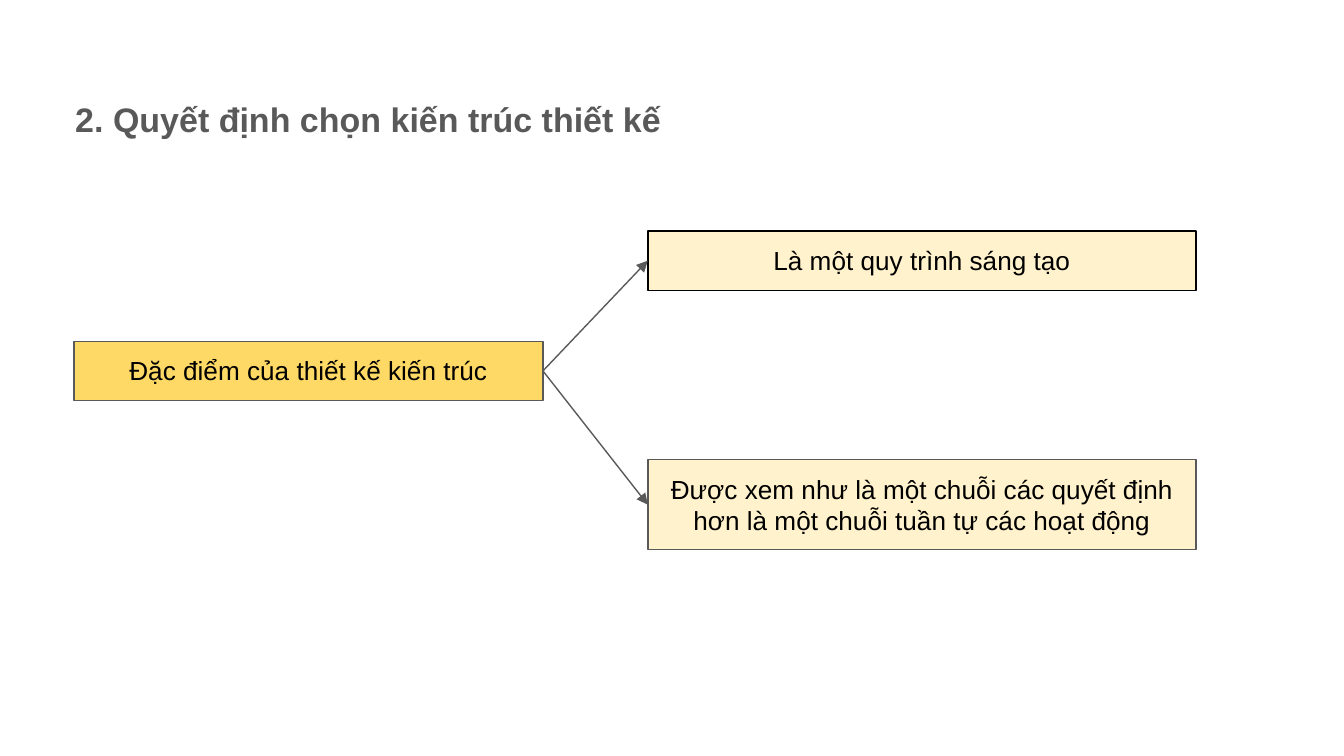
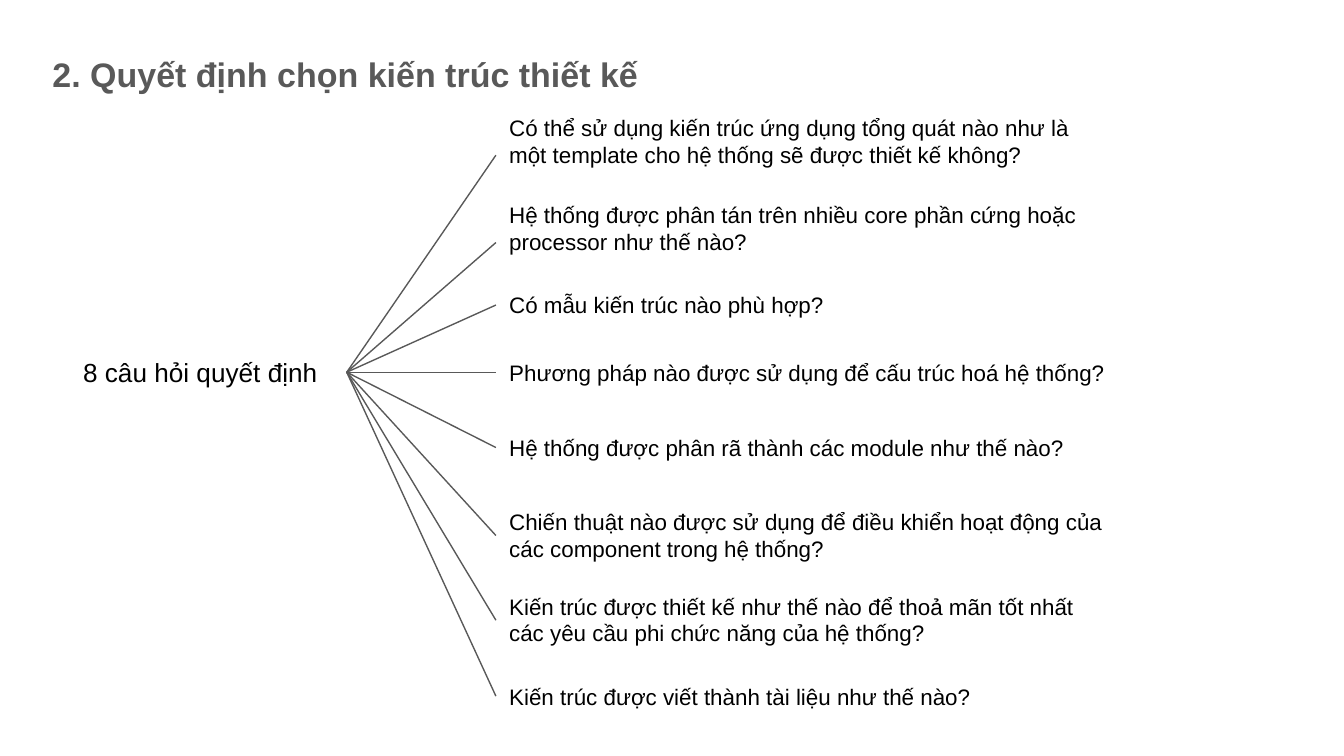
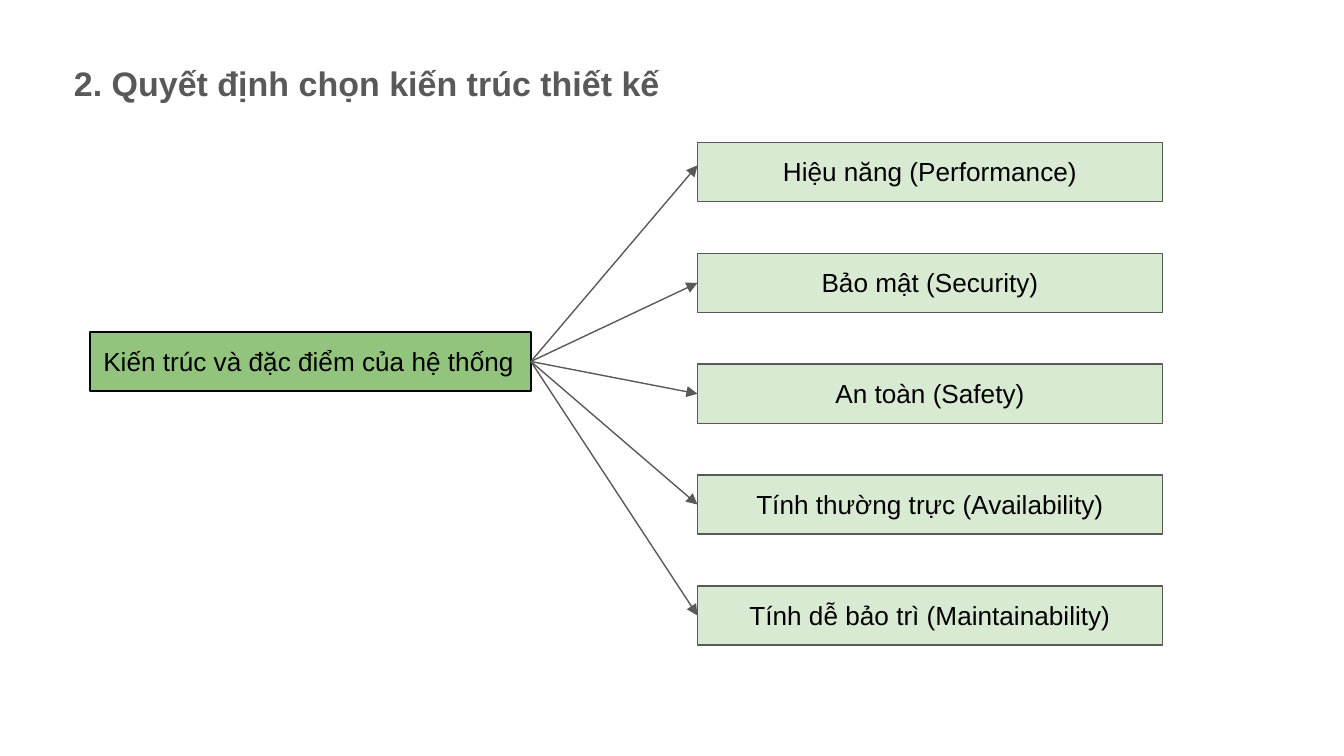
import pptx
import pptx.dml.color
import pptx.enum.shapes
import pptx.enum.text
import pptx.oxml.ns
import pptx.util
import lxml.etree

Inches = pptx.util.Inches
Pt = pptx.util.Pt
rgb = pptx.dml.color.RGBColor.from_string
qn = pptx.oxml.ns.qn
PP_ALIGN = pptx.enum.text.PP_ALIGN
MSO_ANCHOR = pptx.enum.text.MSO_ANCHOR
MSO_AUTO_SIZE = pptx.enum.text.MSO_AUTO_SIZE

FONT = "Arial"
BLACK, GRAY = "000000", "595959"
YELLOW, CREAM = "FFD966", "FFF2CC"
GREEN, MINT = "93C47D", "D9EAD3"
TITLE = "2. Quyết định chọn kiến trúc thiết kế"
ROW_H = 0.44


def add_box(s, text, x, y, w, h, size=14, fill=None, line=GRAY, align=PP_ALIGN.CENTER):
    if fill:
        sp = s.shapes.add_shape(pptx.enum.shapes.MSO_SHAPE.RECTANGLE,
                                Inches(x), Inches(y), Inches(w), Inches(h))
        sp.shadow.inherit = False
        sp.fill.solid()
        sp.fill.fore_color.rgb = rgb(fill)
        sp.line.color.rgb = rgb(line)
        sp.line.width = Pt(0.75)
    else:
        sp = s.shapes.add_textbox(Inches(x), Inches(y), Inches(w), Inches(h))
    tf = sp.text_frame
    tf.text = text
    tf.word_wrap = True
    tf.auto_size = MSO_AUTO_SIZE.SHAPE_TO_FIT_TEXT
    tf.vertical_anchor = MSO_ANCHOR.TOP
    tf.margin_left = tf.margin_right = tf.margin_top = tf.margin_bottom = Inches(0.1)
    for p in tf.paragraphs:
        p.alignment = align
        p.font.name = FONT
        p.font.size = Pt(size)
        p.font.color.rgb = rgb(BLACK)
    return sp


def add_link(s, start, end, arrow=True, end_y=None):
    c = s.shapes.add_connector(pptx.enum.shapes.MSO_CONNECTOR.STRAIGHT,
                               0, 0, end.left, Inches(end_y or 0))
    c.begin_connect(start, 3)
    if end_y is None:
        c.end_connect(end, 1)
    c.line.color.rgb = rgb(GRAY)
    c.line.width = Pt(0.75)
    if arrow:
        ln = c._element.spPr.find(qn("a:ln"))
        lxml.etree.SubElement(ln, qn("a:tailEnd"), type="triangle")
    lxml.etree.SubElement(c._element.spPr, qn("a:effectLst"))


prs = pptx.Presentation()
prs.slide_width = Inches(10)
prs.slide_height = prs.slide_width * 9 // 16

slides = []
for x, y in [(0.46, 0.59), (0.29, 0.25), (0.45, 0.32)]:
    s = prs.slides.add_slide(prs.slide_layouts[5])
    sp = s.shapes.title
    sp.left, sp.top, sp.width, sp.height = Inches(x), Inches(y), Inches(9.32), Inches(0.63)
    tf = sp.text_frame
    tf.text = TITLE
    tf.word_wrap = True
    tf.auto_size = MSO_AUTO_SIZE.NONE
    tf.vertical_anchor = MSO_ANCHOR.TOP
    tf.margin_left = tf.margin_right = tf.margin_top = tf.margin_bottom = Inches(0.1)
    p = tf.paragraphs[0]
    p.alignment = PP_ALIGN.LEFT
    p.line_spacing = 1.15
    p.font.name = FONT
    p.font.size = Pt(18.2)
    p.font.bold = True
    p.font.color.rgb = rgb(GRAY)
    slides.append(s)

s = slides[0]
creative = add_box(s, "Là một quy trình sáng tạo", 4.82, 1.72, 4.08, ROW_H, fill=CREAM, line=BLACK)
decisions = add_box(s, "Được xem như là một chuỗi các quyết định hơn là một chuỗi tuần tự các hoạt động",
                    4.82, 3.42, 4.08, 0.67, fill=CREAM)
root = add_box(s, "Đặc điểm của thiết kế kiến trúc", 0.55, 2.54, 3.49, ROW_H, fill=YELLOW)
for trait in (creative, decisions):
    add_link(s, root, trait)

s = slides[1]
root = add_box(s, "8 câu hỏi quyết định", 0.52, 2.55, 2.06, ROW_H, align=PP_ALIGN.LEFT)
questions = [
    ("Có thể sử dụng kiến trúc ứng dụng tổng quát nào như là\n"
     "một template cho hệ thống sẽ được thiết kế không?", 0.75, 5.02, 0.81),
    ("Hệ thống được phân tán trên nhiều core phần cứng hoặc\n"
     "processor như thế nào?", 1.4, 5.79, 0.81),
    ("Có mẫu kiến trúc nào phù hợp?", 2.07, 5.22, 0.4),
    ("Phương pháp nào được sử dụng để cấu trúc hoá hệ thống?", 2.57, 5.48, 0.4),
    ("Hệ thống được phân rã thành các module như thế nào?", 3.13, 5.48, 0.4),
    ("Chiến thuật nào được sử dụng để điều khiển hoạt động của\n"
     "các component trong hệ thống?", 3.68, 5.68, 0.61),
    ("Kiến trúc được thiết kế như thế nào để thoả mãn tốt nhất\n"
     "các yêu cầu phi chức năng của hệ thống?", 4.31, 6.44, 0.61),
    ("Kiến trúc được viết thành tài liệu như thế nào?", 4.98, 6.08, 0.4),
]
boxes = [add_box(s, text, 3.69, y, w, h, size=12, align=PP_ALIGN.LEFT)
         for text, y, w, h in questions]
for question in boxes:
    add_link(s, root, question, arrow=False)

s = slides[2]
root = add_box(s, "Kiến trúc và đặc điểm của hệ thống", 0.67, 2.47, 3.28, ROW_H,
               fill=GREEN, line=BLACK, align=PP_ALIGN.LEFT)
qualities = ["Hiệu năng (Performance)", "Bảo mật (Security)", "An toàn (Safety)",
             "Tính thường trực (Availability)", "Tính dễ bảo trì (Maintainability)"]
pitch = 3.3 / (len(qualities) - 1)
boxes = [add_box(s, text, 5.19, 1.06 + i * pitch, 3.46, ROW_H, fill=MINT)
         for i, text in enumerate(qualities)]
add_link(s, root, boxes[0], end_y=1.23)
for quality in boxes[1:]:
    add_link(s, root, quality)

prs.save("out.pptx")
